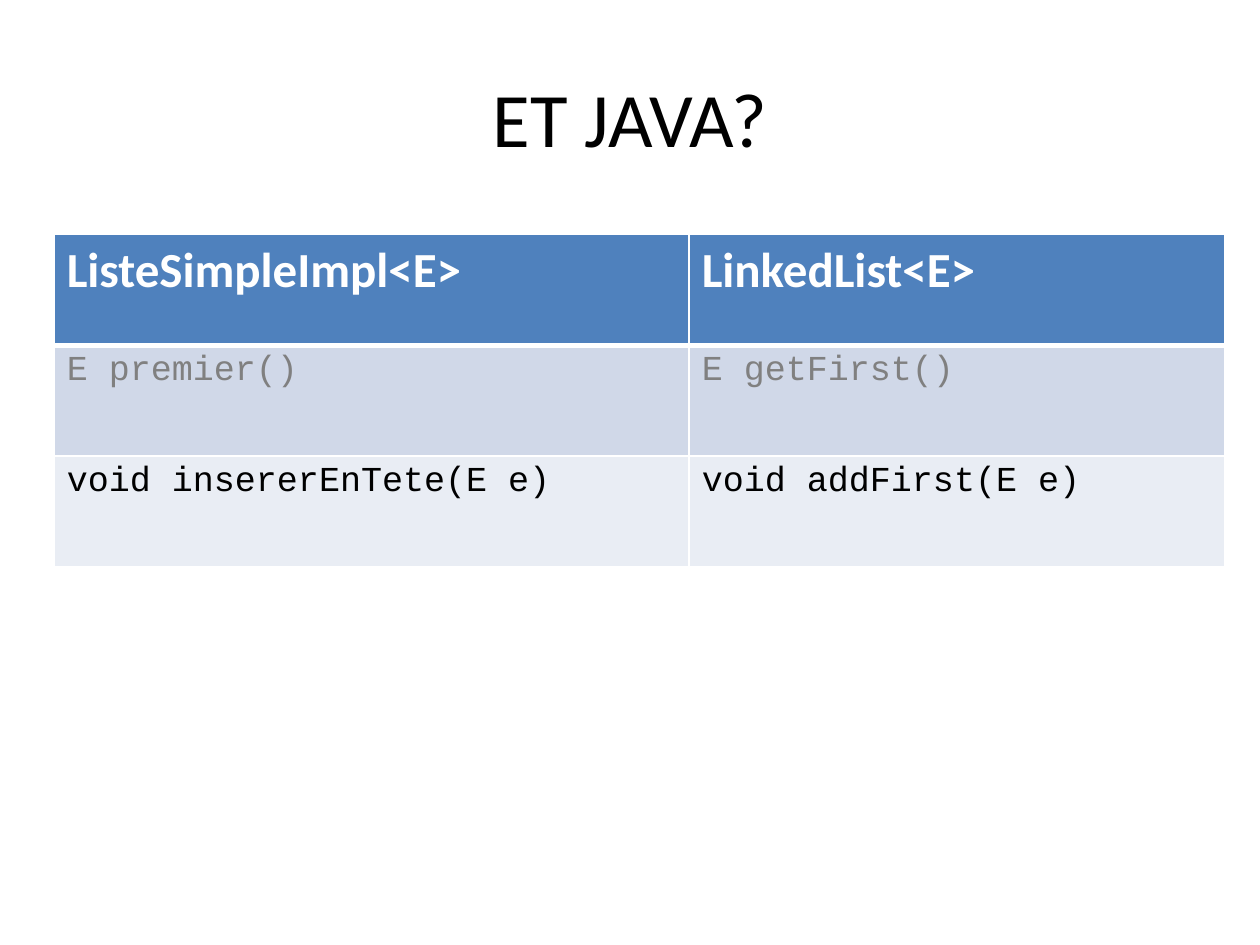
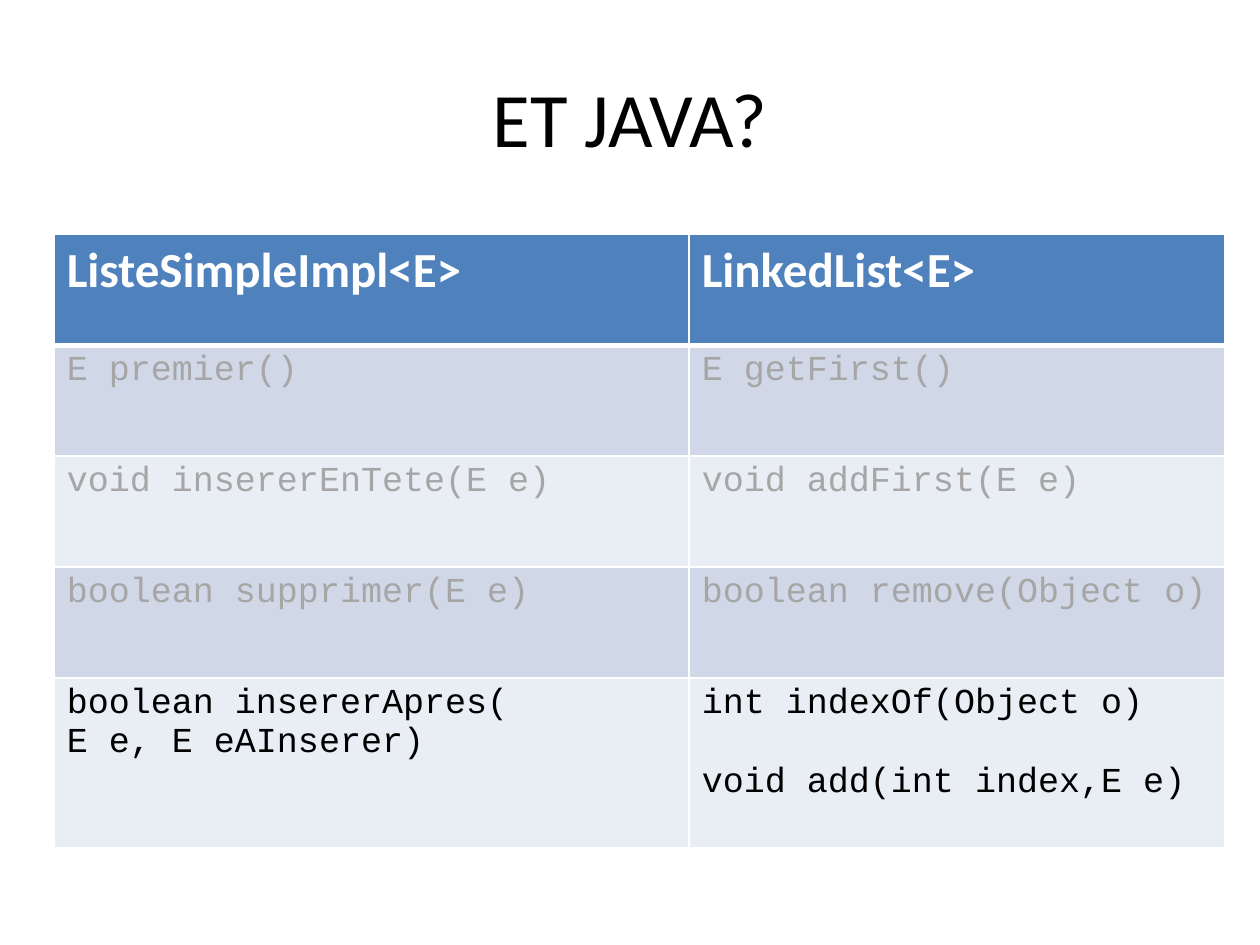
import pptx
import pptx.util
import pptx.dml.color
import pptx.enum.text
import pptx.oxml
import pptx.oxml.ns

Inches = pptx.util.Inches
Pt = pptx.util.Pt

COLORS = {
    "white": "FFFFFF",
    "black": "000000",
    "header": "4F81BD",
    "odd_row": "D0D8E8",
    "even_row": "E9EDF4",
    "gray": "808080",
    "light_gray": "A6A6A6",
}
TITLE = "ET JAVA?"
HEADER = ("ListeSimpleImpl<E>", "LinkedList<E>")
METHODS = [
    ("E premier()", "E getFirst()"),
    ("void insererEnTete(E e)", "void addFirst(E e)"),
    ("boolean supprimer(E e)", "boolean remove(Object o)"),
    ("boolean insererApres(\nE e, E eAInserer)", "int indexOf(Object o)\nvoid add(int index,E e)"),
]
COLUMN_WIDTHS = (5.04, 4.25)
ROW_HEIGHT = 0.88
LAST_ROW_HEIGHT = 1.35
PARAGRAPH_GAP = 22.7

PAGES = [
    {"methods": METHODS[:2], "known": "gray"},
    {"methods": METHODS, "known": "light_gray"},
]


def add_text(para, text, font, size, color, bold=False):
    run = para.add_run()
    run.text = text
    run.font.name = font
    run.font.size = Pt(size)
    run.font.bold = bold
    run.font.color.rgb = pptx.dml.color.RGBColor.from_string(COLORS[color])


def add_borders(cell, bottom_width, top_width):
    widths = {"lnL": 1, "lnR": 1, "lnT": top_width, "lnB": bottom_width}
    for side, width in widths.items():
        border = pptx.oxml.parse_xml(
            f'<a:{side} {pptx.oxml.ns.nsdecls("a")} w="{Pt(width)}">'
            f'<a:solidFill><a:srgbClr val="{COLORS["white"]}"/></a:solidFill></a:{side}>'
        )
        cell._tc.get_or_add_tcPr().append(border)


deck = pptx.Presentation()
deck.slide_width = Inches(10)
deck.slide_height = Inches(7.5)

for content in PAGES:
    page = deck.slides.add_slide(deck.slide_layouts[6])

    title_box = page.shapes.add_textbox(Inches(0.5), Inches(0.3), Inches(9), Inches(1.25))
    title_box.text_frame.word_wrap = True
    title_box.text_frame.vertical_anchor = pptx.enum.text.MSO_ANCHOR.MIDDLE
    title_para = title_box.text_frame.paragraphs[0]
    title_para.alignment = pptx.enum.text.PP_ALIGN.CENTER
    add_text(title_para, TITLE, "Calibri", 44, "black")

    rows = [HEADER] + content["methods"]
    heights = [LAST_ROW_HEIGHT if row is METHODS[-1] else ROW_HEIGHT for row in rows]
    table = page.shapes.add_table(
        len(rows), len(HEADER), Inches(0.43), Inches(1.86),
        Inches(sum(COLUMN_WIDTHS)), Inches(sum(heights)),
    ).table
    table.horz_banding = False
    for column, width in zip(table.columns, COLUMN_WIDTHS):
        column.width = Inches(width)

    for row_index, row in enumerate(rows):
        table.rows[row_index].height = Inches(heights[row_index])
        is_header = row_index == 0
        is_newest = row_index == len(rows) - 1
        if is_header:
            fill, style = "header", ("Calibri", 28, "white", True)
        else:
            fill = "odd_row" if row_index % 2 else "even_row"
            style = ("Courier New", 20, "black" if is_newest else content["known"])

        for column_index, text in enumerate(row):
            cell = table.cell(row_index, column_index)
            add_borders(cell, 3 if is_header else 1, 3 if row_index == 1 else 1)
            cell.fill.solid()
            cell.fill.fore_color.rgb = pptx.dml.color.RGBColor.from_string(COLORS[fill])
            for line_index, line in enumerate(text.split("\n")):
                frame = cell.text_frame
                para = frame.add_paragraph() if line_index else frame.paragraphs[0]
                if line_index and column_index == 1:
                    para.space_before = Pt(PARAGRAPH_GAP)
                add_text(para, line, *style)

deck.save("out.pptx")
